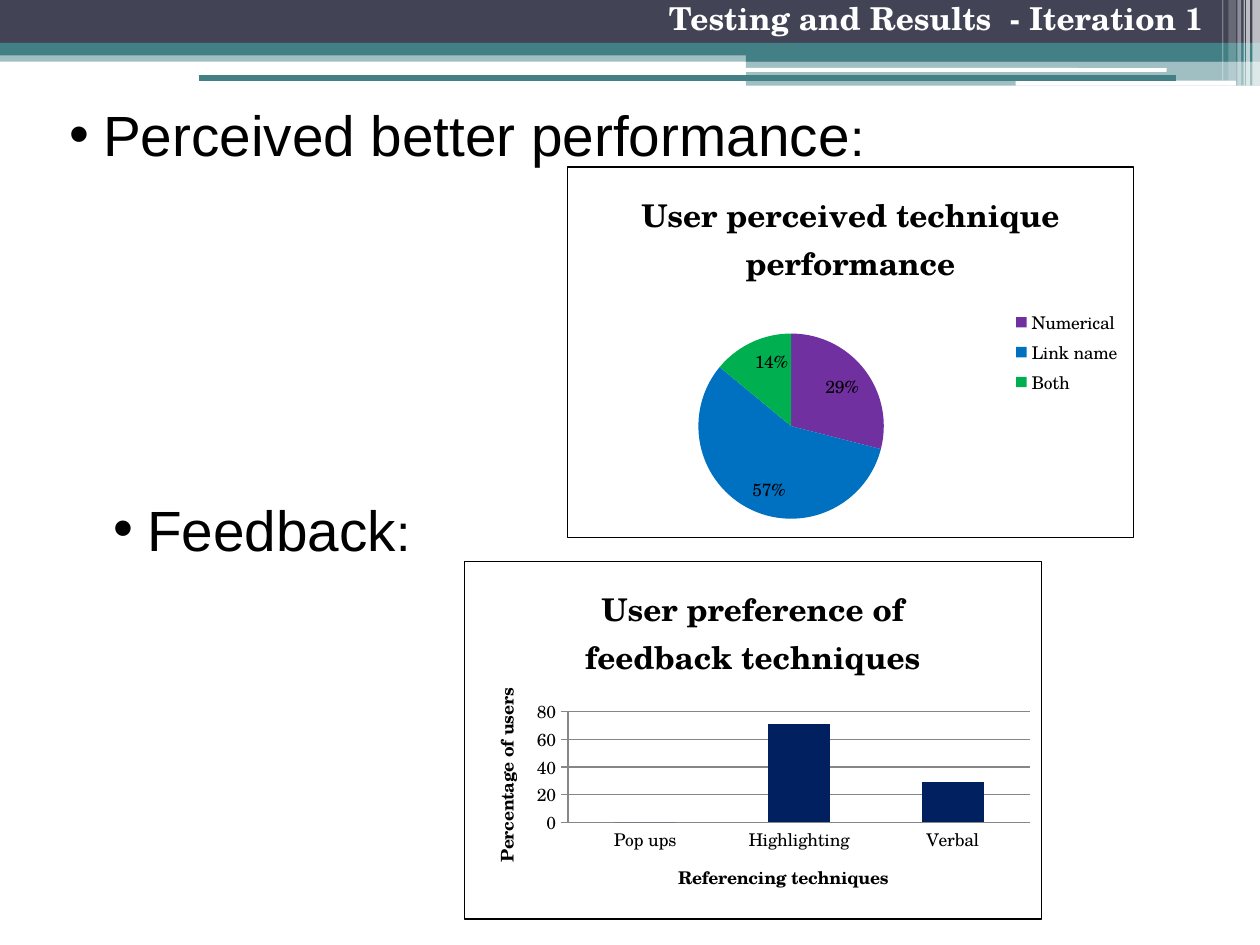
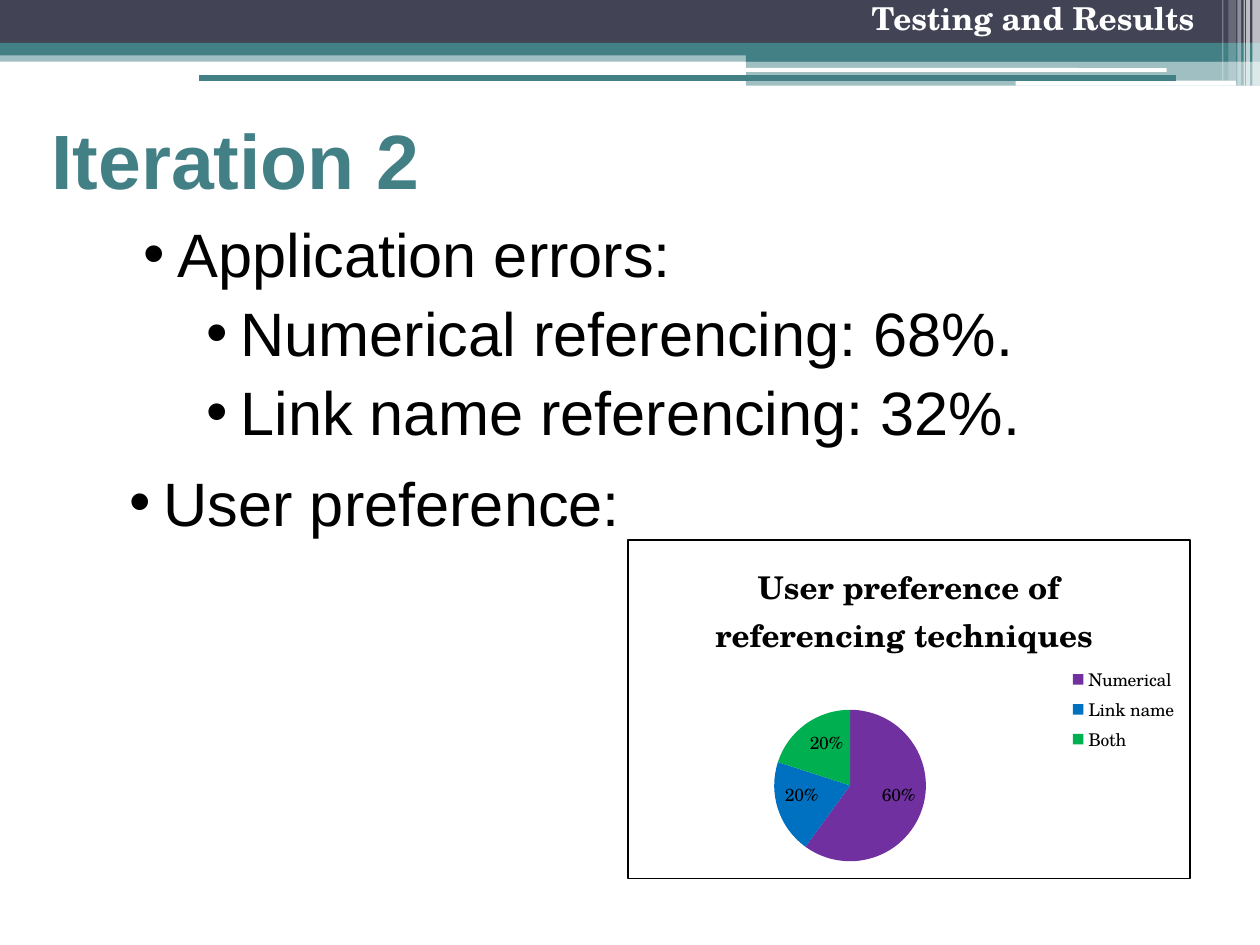
"""Build two slides of test results with charts."""
from lxml import etree
from pptx import Presentation
from pptx.chart.data import CategoryChartData
from pptx.dml.color import RGBColor
from pptx.enum.chart import XL_CHART_TYPE, XL_LABEL_POSITION, XL_LEGEND_POSITION, XL_TICK_MARK
from pptx.enum.shapes import MSO_CONNECTOR, MSO_SHAPE
from pptx.enum.text import MSO_ANCHOR, PP_ALIGN
from pptx.oxml import parse_xml
from pptx.oxml.ns import nsdecls, qn
from pptx.util import Inches, Pt

PIE, COLUMN = XL_CHART_TYPE.PIE, XL_CHART_TYPE.COLUMN_CLUSTERED
INSIDE, RIGHT = XL_LABEL_POSITION.INSIDE_END, XL_LEGEND_POSITION.RIGHT
CROSS, NONE = XL_TICK_MARK.CROSS, XL_TICK_MARK.NONE
RECT, ROUND = MSO_SHAPE.RECTANGLE, MSO_SHAPE.ROUNDED_RECTANGLE
STRAIGHT = MSO_CONNECTOR.STRAIGHT
TOP, MIDDLE = MSO_ANCHOR.TOP, MSO_ANCHOR.MIDDLE
LEFT_TEXT, RIGHT_TEXT = PP_ALIGN.LEFT, PP_ALIGN.RIGHT
SANS, SERIF = "Arial", "TeX Gyre Schola"
HEX = {"teal": "438086", "slate": "424456", "white": "FFFFFF", "black": "000000",
       "purple": "7030A0", "blue": "0070C0", "green": "00B050", "navy": "002060", "grey": "868686"}
RGB = {name: RGBColor.from_string(code) for name, code in HEX.items()}

deck = Presentation()
deck.slide_width, deck.slide_height = Inches(10), Inches(7.5)
blank = deck.slide_layouts[6]


def write(slide, box, lines, font=SANS, color="black", bold=False, align=LEFT_TEXT,
          anchor=TOP, spacing=1.0, before=0):
    """Add a text box; each line is an indent (0 for no bullet) and its runs."""
    frame = slide.shapes.add_textbox(*map(Inches, box)).text_frame
    frame.word_wrap = True
    frame.vertical_anchor = anchor
    for index, (indent, runs) in enumerate(lines):
        para = frame.add_paragraph() if index else frame.paragraphs[0]
        para.alignment, para.line_spacing = align, spacing
        para.space_before = Pt(before)
        if indent:
            props = para._p.get_or_add_pPr()
            props.set("marL", str(Inches(indent)))
            props.set("indent", str(Inches(-0.27)))
            face = etree.SubElement(props, qn("a:buFont"))
            face.set("typeface", SANS)
            etree.SubElement(props, qn("a:buChar")).set("char", "•")
        for text, size in runs:
            run = para.add_run()
            run.text = text
            run.font.name, run.font.size, run.font.bold = font, Pt(size), bold
            run.font.color.rgb = RGB[color]


def plot(slide, kind, box, title, cats, values, area):
    """Add a bordered chart whose plot fills the given fractions."""
    data = CategoryChartData()
    data.categories = cats
    data.add_series("Series 1", values)
    chart = slide.shapes.add_chart(kind, *map(Inches, box), data).chart
    chart.font.name, chart.font.size = SERIF, Pt(10)
    chart.font.color.rgb = RGB["black"]
    chart.has_legend = False
    titles = [(chart, title, 18)]
    if kind == COLUMN:
        titles += [(chart.category_axis, "Referencing techniques", 10),
                   (chart.value_axis, "Percentage of users", 10)]
    for owner, text, size in titles:
        owner.has_title = True
        head = owner.chart_title if owner is chart else owner.axis_title
        run = head.text_frame.paragraphs[0].add_run()
        run.text = text
        run.font.name, run.font.size, run.font.bold = SERIF, Pt(size), True
        run.font.color.rgb = RGB["black"]
    chart.element.find(qn("c:chart")).addnext(parse_xml(
        f'<c:spPr {nsdecls("c", "a")}><a:solidFill><a:srgbClr val="{HEX["white"]}"/></a:solidFill>'
        f'<a:ln w="9525"><a:solidFill><a:srgbClr val="{HEX["black"]}"/></a:solidFill></a:ln></c:spPr>'))
    region = chart.element.find(".//" + qn("c:plotArea"))
    for old in region.findall(qn("c:layout")):
        region.remove(old)
    edges = "".join(f'<c:{key} val="{val}"/>' for key, val in zip("xywh", area))
    region.insert(0, parse_xml(
        f'<c:layout {nsdecls("c")}><c:manualLayout><c:layoutTarget val="inner"/>'
        f'<c:xMode val="edge"/><c:yMode val="edge"/>{edges}</c:manualLayout></c:layout>'))
    group = chart.plots[0]
    series = group.series[0]
    if kind == PIE:
        group.vary_by_categories = True
        for index, name in enumerate(("purple", "blue", "green")):
            fill = series.points[index].format.fill
            fill.solid()
            fill.fore_color.rgb = RGB[name]
        chart.has_legend = True
        chart.legend.position, chart.legend.include_in_layout = RIGHT, False
        group.has_data_labels = True
        labels = group.data_labels
        labels.show_percentage, labels.show_value = True, False
        labels.number_format, labels.number_format_is_linked = "0%", False
        labels.position = INSIDE
        return
    group.vary_by_categories, group.gap_width = False, 150
    series.format.fill.solid()
    series.format.fill.fore_color.rgb = RGB["navy"]
    across, up = chart.category_axis, chart.value_axis
    across.major_tick_mark, up.major_tick_mark = NONE, CROSS
    up.minimum_scale, up.maximum_scale, up.major_unit = 0, 80, 20
    up.has_major_gridlines = True
    for line in (across.format.line, up.format.line, up.major_gridlines.format.line):
        line.color.rgb, line.width = RGB["grey"], Pt(0.75)


bands = [
    (RECT, 0, 0.4, 10, 0.09, "teal", 50),
    (RECT, 0, 0, 10, 0.34, "slate", 100),
    (RECT, 0, 0.34, 10, 0.1, "teal", 100),
    (RECT, 5.92, 0.39, 4.08, 0.1, "teal", 100),
    (RECT, 5.92, 0.48, 4.08, 0.2, "teal", 50),
    (ROUND, 5.91, 0.54, 3.35, 0.03, "white", 100),
    (ROUND, 8.06, 0.64, 1.75, 0.04, "white", 100),
]
stripes = [(9.94, 0.06, 0.68, 65), (9.89, 0.03, 0.68, 65), (9.87, 0.01, 0.68, 60),
           (9.82, 0.03, 0.68, 40), (9.75, 0.06, 0.64, 20), (9.7, 0.01, 0.64, 30)]
bands += [(RECT, left, 0, width, height, "white", alpha) for left, width, height, alpha in stripes]

slides = []
for header in ("Testing and Results  - Iteration 1", "Testing and Results "):
    slide = deck.slides.add_slide(blank)
    slides.append(slide)
    for kind, left, top, width, height, color, alpha in bands:
        band = slide.shapes.add_shape(kind, *map(Inches, (left, top, width, height)))
        band.shadow.inherit = False
        band.line.fill.background()
        band.fill.solid()
        band.fill.fore_color.rgb = RGB[color]
        if alpha < 100:
            tint = band._element.spPr.find(".//" + qn("a:srgbClr"))
            etree.SubElement(tint, qn("a:alpha")).set("val", str(alpha * 1000))
    write(slide, (3.82, 0, 5.83, 0.5), [(0, [(header, 18)])], font=SERIF, color="white",
          bold=True, align=RIGHT_TEXT, spacing=0.8, before=3.6)
    rule = slide.shapes.add_connector(STRAIGHT, *map(Inches, (1.58, 0.62, 9.33, 0.62)))
    rule.line.color.rgb, rule.line.width = RGB["teal"], Pt(3)
    etree.SubElement(rule._element.spPr, qn("a:effectLst"))

first, second = slides
choices = ("Numerical", "Link name", "Both")

for left, top, topic in ((0, 0.85, "Perceived better performance"), (0.35, 3.98, "Feedback")):
    write(first, (left, top, 9.07, 0.58), [(0.72, [(topic, 32.4), (":", 29.6)])],
          spacing=0.8, before=3)
plot(first, PIE, (4.5, 1.32, 4.5, 2.95), "User perceived technique performance",
     choices, (29, 57, 14), (0.23, 0.45, 0.33, 0.5))
plot(first, COLUMN, (3.68, 4.45, 4.59, 2.85), "User preference of feedback techniques",
     ("Pop ups", "Highlighting", "Verbal"), (0, 71, 29), (0.18, 0.42, 0.8, 0.31))

write(second, (0.31, 0.67, 6.84, 1.18), [(0, [("Iteration 2", 44)])],
      color="teal", bold=True, anchor=MIDDLE)
errors = [(0.72, "Application errors:"), (1.22, "Numerical referencing: 68%."),
          (1.22, "Link name referencing: 32%.")]
write(second, (0.59, 1.67, 8.49, 1.97), [(indent, [(text, 35)]) for indent, text in errors], before=3)
plot(second, PIE, (4.98, 4.28, 4.47, 2.7), "User preference of referencing techniques ",
     choices, (60, 20, 20), (0.26, 0.5, 0.27, 0.45))
write(second, (0.48, 3.64, 8.49, 0.79), [(0.72, [("User preference:", 35)])], before=3)

deck.save("out.pptx")
